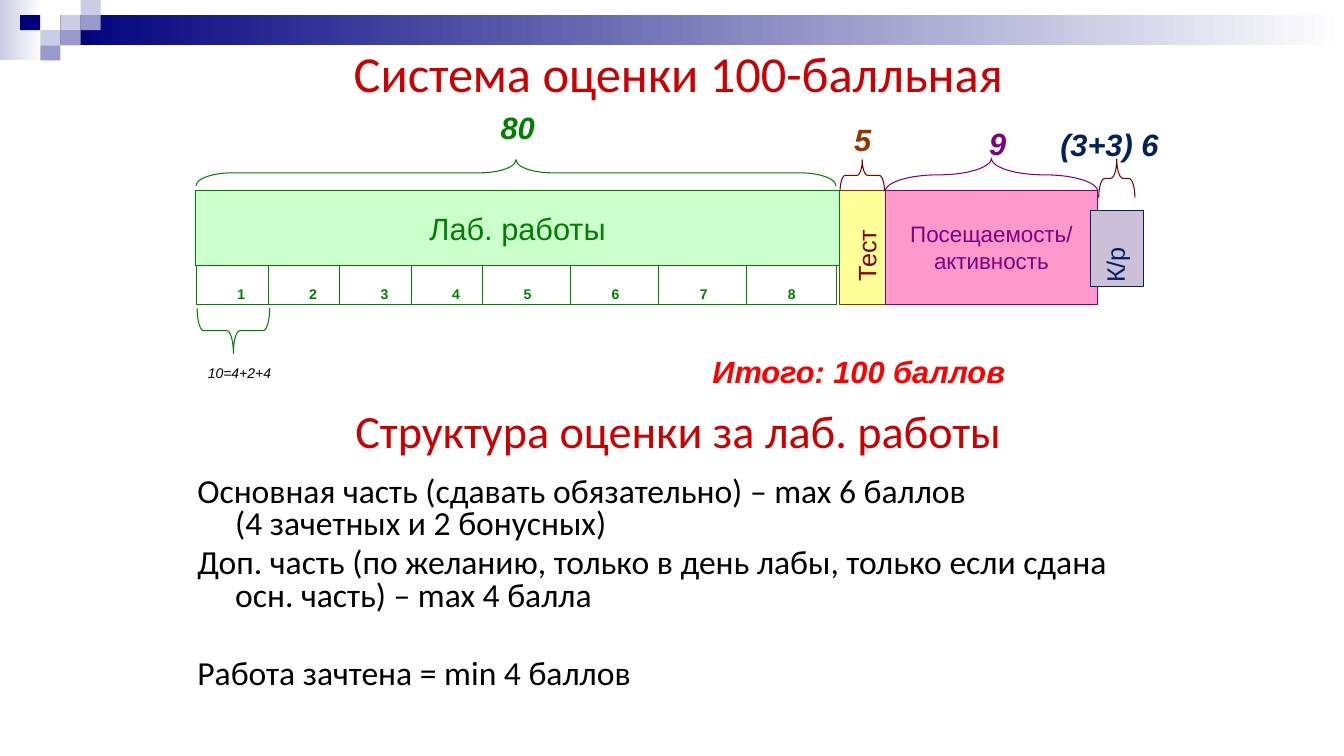
"""Builds a slide on a 100-point grading system."""
from pptx import Presentation
from pptx import util as u
from pptx.dml.color import RGBColor
from pptx.enum import shapes, text

HUES = {
    "navy": "00007D", "pale": "CCCCE6", "mid": "9999CC", "white": "FFFFFF",
    "head": "CC0000", "black": "000000", "red": "FF0000", "green": "008000",
    "mint": "CCFFCC", "brown": "993300", "yellow": "FFFF99", "maroon": "800000",
    "purple": "800080", "pink": "FF99CC", "ink": "002060", "lilac": "CCC0D9",
}
KIND = shapes.MSO_SHAPE
MID = text.MSO_ANCHOR.MIDDLE
CENTER, LEFT = text.PP_ALIGN.CENTER, text.PP_ALIGN.LEFT


def hue(name):
    return RGBColor.from_string(HUES[name])


def turn(box, angle):
    x, y, w, h = box
    if angle:
        x, y, w, h = x + (w - h) / 2, y + (h - w) / 2, h, w
    return [u.Pt(v) for v in (x, y, w, h)]


def shape(slide, box, fill=None, line=None, kind=KIND.RECTANGLE, angle=0):
    item = slide.shapes.add_shape(kind, *turn(box, angle))
    item.rotation = angle
    item.shadow.inherit = False
    if fill:
        item.fill.solid()
        item.fill.fore_color.rgb = hue(fill)
    else:
        item.fill.background()
    if line:
        item.line.color.rgb = hue(line)
        item.line.width = u.Pt(0.75)
    else:
        item.line.fill.background()
    return item


def fade(slide, box, start):
    item = shape(slide, box)
    item.fill.gradient()
    item.fill.gradient_angle = 0
    for stop, name in zip(item.fill.gradient_stops, (start, "white")):
        stop.color.rgb = hue(name)


def write(item, words, size, color, face="Arial", bold=False, italic=False,
          anchor=MID, align=CENTER, pad=(3.6, 2.9, 3.6, 2.9)):
    frame = item.text_frame
    frame.word_wrap = True
    frame.vertical_anchor = anchor
    frame.margin_left, frame.margin_top, frame.margin_right, frame.margin_bottom = map(u.Pt, pad)
    for n, line in enumerate(words.split("\n")):
        par = frame.add_paragraph() if n else frame.paragraphs[0]
        par.text = line
        par.alignment = align
        font = par.font
        font.name, font.size, font.bold, font.italic = face, u.Pt(size), bold, italic
        font.color.rgb = hue(color)
    return frame.paragraphs


def label(slide, box, words, size, color, angle=0, **style):
    item = slide.shapes.add_textbox(*turn(box, angle))
    item.rotation = angle
    return write(item, words, size, color, **style)


def brace(slide, box, color, bend, angle=270):
    item = shape(slide, box, line=color, kind=KIND.RIGHT_BRACE, angle=angle)
    item.adjustments[0] = bend


def banner(slide, box):
    x, y, w, h = box
    col, row = 14.4, h / 4
    fade(slide, (x, y, 30.2, h), "pale")
    fade(slide, (x + 3 * col, y + row, w - 3 * col, 2 * row), "navy")
    tiles = [(3, 1, "pale"), (4, 0, "pale"), (4, 1, "mid"), (2, 2, "pale"),
             (1, 1, "navy"), (3, 2, "mid"), (2, 3, "mid")]
    for c, r, fill in tiles:
        shape(slide, (x + c * col, y + r * row, col, row), fill)


def title(slide, box, words, size):
    label(slide, box, words, size, "head", face="Calibri", pad=(7.2, 3.6, 7.2, 3.6))


def scale(slide, box):
    x, y, w, h = box
    top, tall = y + 64, 81.4

    test = shape(slide, (x + 460.1, top, 32.4, tall), "yellow", "brown")
    visit = shape(slide, (x + 492.5, top, 151.9, tall), "pink", "purple")
    write(visit, "Посещаемость/ активность", 16, "purple")
    for n in range(8):
        left = x + 0.7 + 51.1 * n + 11.8 * max(0, n - 4)
        cell = shape(slide, (left, top + 24, 64, tall - 24), "white", "green")
        write(cell, str(n + 1), 10, "green", bold=True,
              anchor=text.MSO_ANCHOR.BOTTOM, pad=(2.2, 0, 2.2, 1.4))
    labs = shape(slide, (x, top, 460, 54), "mint", "green")
    write(labs, "Лаб. работы", 22, "green")

    side = dict(align=LEFT, pad=(2.9, 0, 2.9, 2.9))
    label(slide, (x + 470, y + 80, 21, 52), "Тест", 18, "maroon", 270, **side)
    exam = shape(slide, (x + 639.4, y + 78.2, 37.4, 54.7), "lilac", "ink", angle=270)
    write(exam, "К/р", 18, "ink", **side)

    braces = [(0.3, 42.1, 457.2, 18.7, "green", 1.39), (460.4, 42.1, 31.7, 22.3, "maroon", 0.17),
              (492.5, 41, 151.9, 23.8, "purple", 1.75), (645.1, 41.7, 25.9, 27.4, "maroon", 0.17)]
    for dx, dy, wide, high, color, bend in braces:
        brace(slide, (x + dx, y + dy, wide, high), color, bend)
    brace(slide, (x + 1.1, y + 148, 51.8, 32.4), "green", 0.14, 90)

    marks = [(230, 2.9, 126, "80", 22, "green", True), (476.5, 11.5, 126, "5", 22, "brown", True),
             (573, 14.4, 126, "9", 22, "purple", True),
             (652.7, 15.1, 126, "(3+3) 6", 22, "ink", True),
             (473.7, 177.1, 268, "Итого: 100 баллов", 22, "red", True),
             (31.3, 185.8, 60, "10=4+2+4", 10, "black", False)]
    for mid, dy, wide, words, size, color, bold in marks:
        label(slide, (x + mid - wide / 2, y + dy, wide, 40), words, size, color, bold=bold,
              italic=True, anchor=text.MSO_ANCHOR.TOP, pad=(3.6, 2.9, 3.6, 0))


def rules(slide, box):
    words = ("Основная часть (сдавать обязательно) – max 6 баллов\v(4 зачетных и 2 бонусных)\n"
             "Доп. часть (по желанию, только в день лабы, только если сдана осн. часть) – max 4 балла\n"
             "Работа зачтена = min 4 баллов")
    pars = label(slide, box, words, 24, "black", face="Calibri", align=LEFT,
                 anchor=text.MSO_ANCHOR.TOP, pad=(7.2, 3.6, 7.2, 3.6))
    for par, gap in zip(pars, (4.8, 4.8, 32.8)):
        par.line_spacing = 0.8
        par.space_before = u.Pt(gap)
        props = par._p.get_or_add_pPr()
        props.set("marL", str(u.Pt(27)))
        props.set("indent", str(u.Pt(-27)))


def main():
    deck = Presentation()
    deck.slide_width, deck.slide_height = u.Pt(960), u.Pt(540)
    slide = deck.slides.add_slide(deck.slide_layouts[6])
    banner(slide, (0, 0, 960, 43.2))
    title(slide, (179.3, 31.7, 610.6, 39.6), "Система оценки 100-балльная", 36)
    scale(slide, (139.7, 72, 720, 215))
    title(slide, (179.3, 287.3, 610.6, 39.6), "Структура оценки за лаб. работы", 33)
    rules(slide, (133.9, 337.7, 689, 170))
    deck.save("out.pptx")


main()
